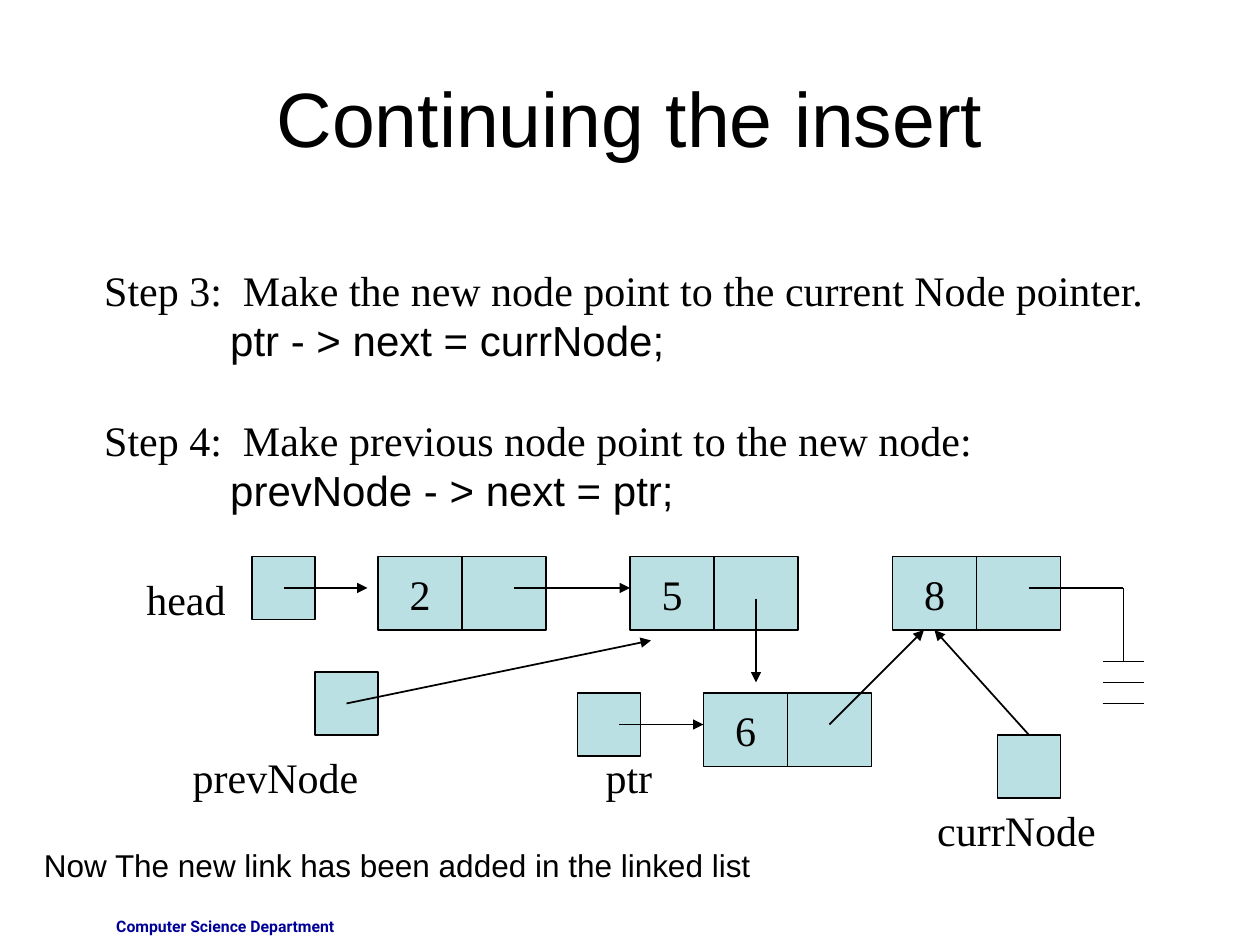
from dataclasses import dataclass

from lxml import etree
from pptx import Presentation
from pptx.dml.color import RGBColor
from pptx.enum import shapes, text
from pptx.oxml import ns
from pptx.util import Pt


@dataclass(frozen=True)
class Theme:
    """Colours, fonts and type sizes of the slide."""
    ink: RGBColor = RGBColor(0x00, 0x00, 0x00)
    cell: RGBColor = RGBColor(0xBB, 0xE0, 0xE3)
    footer: RGBColor = RGBColor(0x00, 0x00, 0x99)
    sans: str = "Arial"
    serif: str = "Times New Roman"
    footer_font: str = "Roboto"
    title_size: int = 44
    body_size: int = 24
    note_size: int = 18
    footer_size: int = 9
    line: int = 1


T = Theme()
CELL_W, CELL_H, POINTER = 48, 42, 36


def add_run(p, words, font, size, color=T.ink, bold=False):
    """Add one formatted run to a paragraph."""
    r = p.add_run()
    r.text = words
    r.font.name, r.font.size, r.font.bold = font, Pt(size), bold
    r.font.color.rgb = color


def add_box(s, x, y, w, h, wrap=True):
    """Add an empty text box and return its text frame."""
    tf = s.shapes.add_textbox(Pt(x), Pt(y), Pt(w), Pt(h)).text_frame
    tf.word_wrap = wrap
    return tf


def add_label(s, words, x, y, w):
    """Add the name of a pointer variable."""
    tf = add_box(s, x, y, w, 36, wrap=False)
    add_run(tf.paragraphs[0], words, T.serif, T.body_size)


def add_cell(s, x, y, w, h, value=""):
    """Add a filled rectangle with an optional value."""
    sp = s.shapes.add_shape(shapes.MSO_SHAPE.RECTANGLE, Pt(x), Pt(y), Pt(w), Pt(h))
    sp.shadow.inherit = False
    sp.fill.solid()
    sp.fill.fore_color.rgb = T.cell
    sp.line.color.rgb = T.ink
    sp.line.width = Pt(T.line)
    if value:
        tf = sp.text_frame
        tf.word_wrap = False
        tf.vertical_anchor = text.MSO_ANCHOR.MIDDLE
        p = tf.paragraphs[0]
        p.alignment = text.PP_ALIGN.CENTER
        add_run(p, value, T.serif, T.body_size)


def add_node(s, value, x, y):
    """Add a list node: a value cell and a link cell."""
    add_cell(s, x, y, CELL_W, CELL_H, value)
    add_cell(s, x + CELL_W, y, CELL_W, CELL_H)


def add_line(s, x1, y1, x2, y2, arrow=False):
    """Add a straight line, with an arrowhead at its end if asked."""
    c = s.shapes.add_connector(
        shapes.MSO_CONNECTOR.STRAIGHT, Pt(x1), Pt(y1), Pt(x2), Pt(y2))
    c.line.color.rgb = T.ink
    c.line.width = Pt(T.line)
    if arrow:
        ln = c.line._get_or_add_ln()
        etree.SubElement(ln, ns.qn("a:tailEnd"), type="triangle")
    etree.SubElement(c._element.spPr, ns.qn("a:effectLst"))


def add_steps(s, steps):
    """Add the numbered steps, each with an indented code line."""
    tf = add_box(s, 52.5, 147.6, 667.5, 151)
    for i, (step, code) in enumerate(steps):
        p = tf.add_paragraph() if i else tf.paragraphs[0]
        if i:
            p.space_before = Pt(28)
        add_run(p, step, T.serif, T.body_size)
        p = tf.add_paragraph()
        p._p.get_or_add_pPr().set("marL", str(Pt(72)))
        add_run(p, code, T.sans, T.body_size)


def add_title(s, words):
    """Add the centred slide title."""
    tf = add_box(s, 36, 21.6, 648, 90)
    tf.vertical_anchor = text.MSO_ANCHOR.MIDDLE
    p = tf.paragraphs[0]
    p.alignment = text.PP_ALIGN.CENTER
    add_run(p, words, T.sans, T.title_size)


def add_footer(s, words):
    """Add the department name at the foot."""
    p = add_box(s, 30, 520.5, 168, 19.5).paragraphs[0]
    p.alignment = text.PP_ALIGN.RIGHT
    add_run(p, words, T.footer_font, T.footer_size, T.footer, bold=True)


def add_list_diagram(s):
    """Draw the linked list, its pointers and the links between them."""
    for value, x, y in (("2", 216, 318), ("5", 360, 318), ("8", 510, 318), ("6", 402, 396)):
        add_node(s, value, x, y)
    for x, y in ((144, 318), (180, 384), (330, 396), (570, 420)):
        add_cell(s, x, y, POINTER, POINTER)
    for label in (("head", 76.5, 324, 60), ("prevNode", 103, 426, 109),
                  ("ptr", 339, 426, 41), ("currNode", 528.5, 456, 105)):
        add_label(s, *label)
    for link in ((162, 336, 210, 336), (294, 336, 360, 336), (432, 342, 432, 390),
                 (198, 402, 372, 366), (354, 414, 402, 414), (474, 414, 528, 360),
                 (588, 420, 534, 360)):
        add_line(s, *link, arrow=True)
    add_line(s, 588, 336, 642, 336)
    add_line(s, 642, 336, 642, 378)
    for y in (378, 390, 402):
        add_line(s, 630, y, 654, y)


def main():
    """Build and save the slide."""
    prs = Presentation()
    prs.slide_width, prs.slide_height = Pt(720), Pt(540)
    s = prs.slides.add_slide(prs.slide_layouts[6])
    add_footer(s, "Computer Science Department")
    add_title(s, "Continuing the insert")
    add_steps(s, (
        ("Step 3:  Make the new node point to the current Node pointer.",
         "ptr - > next = currNode;"),
        ("Step 4:  Make previous node point to the new node:",
         "prevNode - > next = ptr;"),
    ))
    add_list_diagram(s)
    note = add_box(s, 18, 480, 504, 29)
    add_run(note.paragraphs[0], "Now The new link has been added in the linked list",
            T.sans, T.note_size)
    prs.save("out.pptx")


if __name__ == "__main__":
    main()
